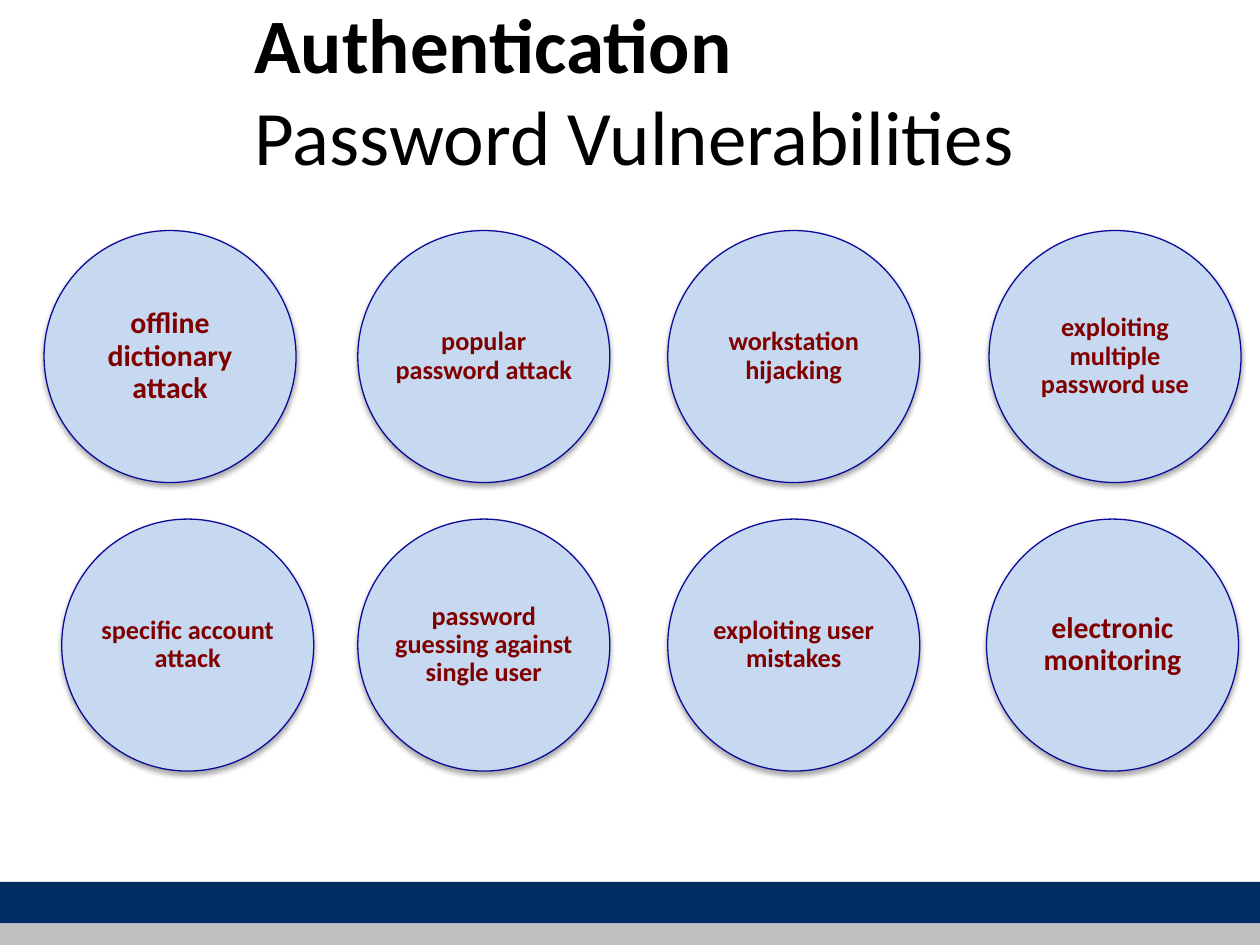
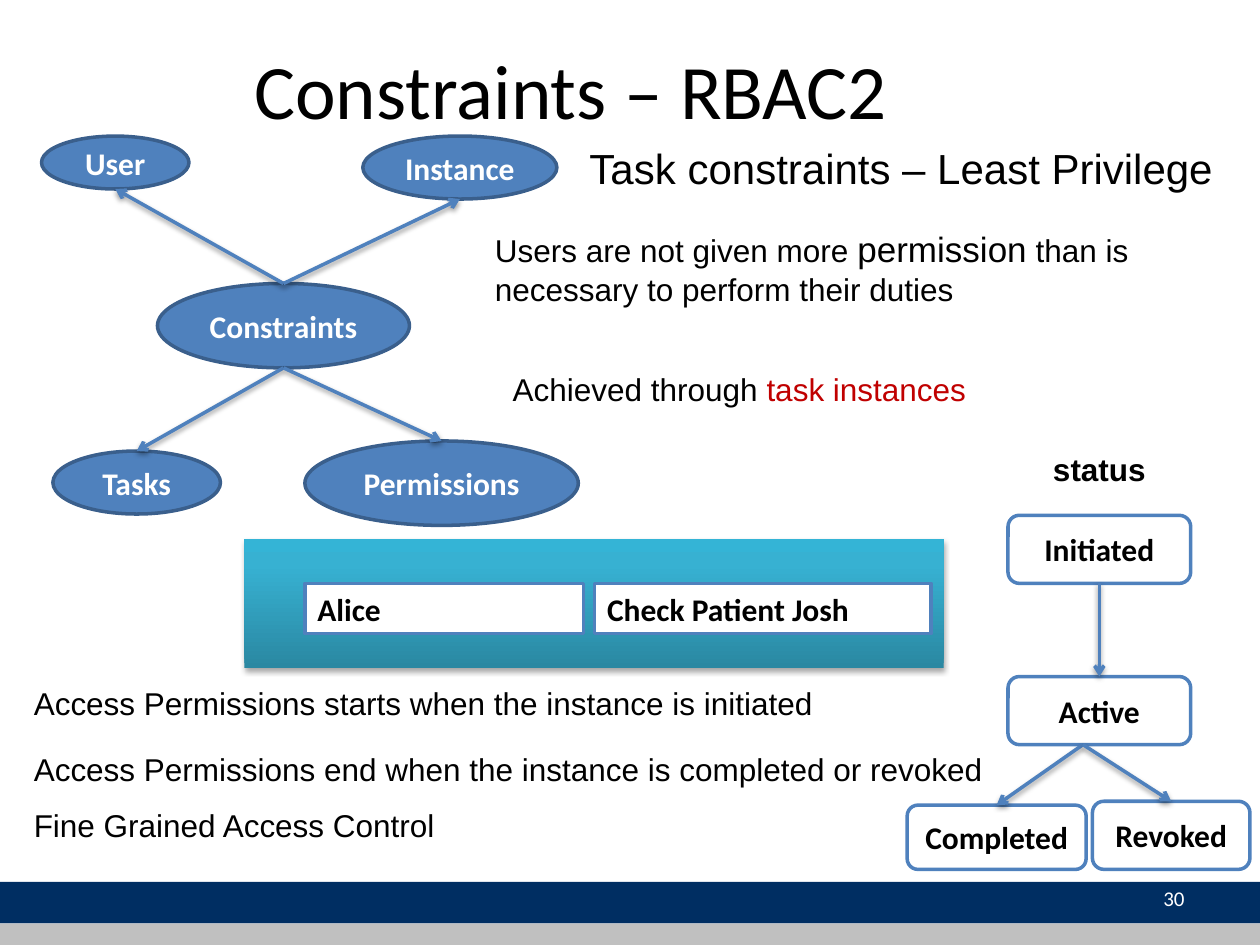
from copy import deepcopy

from lxml import etree
from pptx import Presentation
from pptx.dml.color import RGBColor
from pptx.enum.shapes import MSO_CONNECTOR, MSO_SHAPE
from pptx.enum.text import MSO_ANCHOR, PP_ALIGN
from pptx.oxml.ns import qn
from pptx.util import Inches, Pt

OVAL, RECT, ROUND = MSO_SHAPE.OVAL, MSO_SHAPE.RECTANGLE, MSO_SHAPE.ROUNDED_RECTANGLE
STRAIGHT = MSO_CONNECTOR.STRAIGHT
LEFT, CENTER, RIGHT = PP_ALIGN.LEFT, PP_ALIGN.CENTER, PP_ALIGN.RIGHT
TOP, MIDDLE = MSO_ANCHOR.TOP, MSO_ANCHOR.MIDDLE

WHITE = RGBColor(0xFF, 0xFF, 0xFF)
BLACK = RGBColor(0x00, 0x00, 0x00)
NAVY = RGBColor(0x00, 0x2E, 0x62)
GRAY = RGBColor(0xC0, 0xC0, 0xC0)
PALE = RGBColor(0xC6, 0xD9, 0xF1)
INK = RGBColor(0x0E, 0x0A, 0x99)
MAROON = RGBColor(0x80, 0x00, 0x00)
RED = RGBColor(0xC0, 0x00, 0x00)
BLUE = RGBColor(0x4F, 0x81, 0xBD)
EDGE = RGBColor(0x3A, 0x5F, 0x8C)
TEAL = [
    (0, RGBColor(0x2A, 0x88, 0xA2)),
    (0.8, RGBColor(0x37, 0xB1, 0xD2)),
    (1, RGBColor(0x34, 0xB4, 0xD6)),
]

WIDTH, HEIGHT = Inches(10), Inches(7.5)
COL, ROW = WIDTH / 10, HEIGHT / 7.5
HEAD, BODY = "Calibri", "Arial"

ATTACKS = [
    (1.83, [
        (0.35, "offline dictionary attack", 17),
        (2.84, "popular password attack", 15),
        (5.3, "workstation hijacking", 15),
        (7.85, "exploiting multiple password use", 15),
    ]),
    (4.12, [
        (0.49, "specific account attack", 15),
        (2.84, "password guessing against single user", 15),
        (5.3, "exploiting user mistakes", 15),
        (7.83, "electronic monitoring", 17),
    ]),
]
NODES = {
    "Constraints": (1.25, 2.25, 2, 0.67),
    "User": (0.33, 1.08, 1.17, 0.42),
    "Instance": (2.88, 1.08, 1.54, 0.5),
    "Tasks": (0.42, 3.58, 1.33, 0.5),
    "Permissions": (2.42, 3.5, 2.17, 0.67),
}
STATES = {
    "Initiated": (8, 4.09, 1.45, 0.54),
    "Active": (8, 5.37, 1.45, 0.54),
    "Completed": (7.2, 6.39, 1.42, 0.51),
    "Revoked": (8.67, 6.36, 1.25, 0.54),
}
FIELDS = {
    "Alice": (2.42, 4.63, 2.21, 0.4),
    "Check Patient Josh": (4.72, 4.63, 2.67, 0.4),
}
NOTES = [
    (5.38, "Access Permissions starts when the instance is initiated"),
    (5.9, "Access Permissions end when the instance is completed or revoked"),
    (6.35, "Fine Grained Access Control"),
]


def place(box):
    """Turn columns and rows of the slide grid into lengths."""
    x, y, w, h = box
    return round(x * COL), round(y * ROW), round(w * COL), round(h * ROW)


def write(shape, text, size=18, font=HEAD, color=BLACK, bold=False,
          align=LEFT, anchor=TOP, inset=None, lead=None, after=None):
    """Fill a shape with a string, or with lines of (string, changes) runs."""
    frame = shape.text_frame
    frame.word_wrap = True
    frame.vertical_anchor = anchor
    if inset is not None:
        frame.margin_left = frame.margin_right = Inches(inset)
        frame.margin_top = frame.margin_bottom = Inches(inset)
    para = frame.paragraphs[0]
    para.alignment = align
    if lead:
        para.line_spacing = lead
    if after:
        para.space_after = Pt(after)
    lines = [[(text, {})]] if isinstance(text, str) else text
    for index, line in enumerate(lines):
        if index:
            para.add_line_break()
        for words, change in line:
            run = para.add_run()
            run.text = words
            run.font.name = font
            run.font.size = Pt(change.get("size", size))
            run.font.bold = change.get("bold", bold)
            run.font.color.rgb = change.get("color", color)


def label(slide, box, text, **style):
    """Add a text box on the grid."""
    write(slide.shapes.add_textbox(*place(box)), text, **style)


def shade(item, alpha, dist):
    """Cast a soft shadow straight down."""
    props = item.element.spPr
    effects = props.find(qn("a:effectLst"))
    if effects is None:
        effects = etree.SubElement(props, qn("a:effectLst"))
    cast = etree.SubElement(effects, qn("a:outerShdw"), blurRad=str(Pt(3.1)),
                            dist=str(Pt(dist)), dir="5400000", rotWithShape="0")
    tint = etree.SubElement(cast, qn("a:srgbClr"), val=str(BLACK))
    etree.SubElement(tint, qn("a:alpha"), val=str(alpha * 1000))


def draw(slide, kind, box, fill=None, line=None, width=2):
    """Add a flat preset shape on the grid."""
    shape = slide.shapes.add_shape(kind, *place(box))
    shape.shadow.inherit = False
    if fill is not None:
        shape.fill.solid()
        shape.fill.fore_color.rgb = fill
    if line is None:
        shape.line.fill.background()
    else:
        shape.line.color.rgb = line
        shape.line.width = Pt(width)
    return shape


def blend(shape, stops):
    """Fill a shape with three colours running upward."""
    shape.fill.gradient()
    shape.fill.gradient_angle = 90
    marks = shape.element.spPr.find(qn("a:gradFill")).find(qn("a:gsLst"))
    marks.insert(1, deepcopy(marks[1]))
    for mark, (share, color) in zip(shape.fill.gradient_stops, stops):
        mark.position = share
        mark.color.rgb = color


def link(slide, start, end, shift=0):
    """Draw an arrow between the facing edges of two shapes."""
    down = end.top > start.top
    y1 = start.top + start.height if down else start.top
    y2 = end.top if down else end.top + end.height
    x1 = start.left + start.width // 2 + round(shift * COL)
    x2 = end.left + end.width // 2
    arrow = slide.shapes.add_connector(STRAIGHT, x1, y1, x2, y2)
    arrow.line.color.rgb = BLUE
    arrow.line.width = Pt(2)
    etree.SubElement(arrow.element.spPr.find(qn("a:ln")), qn("a:tailEnd"), type="arrow")
    shade(arrow, 38, 1.6)


def start(deck, title):
    """Add a slide with its bands and title."""
    slide = deck.slides.add_slide(deck.slide_layouts[6])
    draw(slide, RECT, (0, 7, 10, 0.33), NAVY)
    draw(slide, RECT, (0, 7.33, 10, 0.17), GRAY)
    label(slide, (1.92, 0.08, 7.92, 1.25), title, size=44, anchor=MIDDLE)
    return slide


def risks(deck):
    """Build the slide of password attacks."""
    slide = start(deck, [
        [("Authentication", {"bold": True})],
        [("Password Vulnerabilities", {})],
    ])
    for y, row in ATTACKS:
        for x, text, size in row:
            disc = draw(slide, OVAL, (x, y, 2, 2), PALE, INK, 0.75)
            shade(disc, 35, 1.8)
            write(disc, text, size=size, color=MAROON, bold=True, align=CENTER,
                  anchor=MIDDLE, inset=0, lead=0.9)


def group(slide, kind, boxes, fill, line, **style):
    """Add shapes that share one look and return them by name."""
    found = {}
    for name, box in boxes.items():
        found[name] = draw(slide, kind, box, fill, line)
        write(found[name], name, bold=True, **style)
    return found


def limits(deck):
    """Build the slide of task constraints."""
    slide = start(deck, "Constraints – RBAC2")
    label(slide, (7.17, 6.93, 2.33, 0.4), "30", size=12, color=WHITE,
          align=RIGHT, anchor=MIDDLE)
    label(slide, (3.83, 1.76, 6.17, 0.74), [[
        ("Users are not given more ", {}),
        ("permission", {"size": 20}),
        (" than is necessary to perform their duties", {}),
    ]], font=BODY)

    nodes = group(slide, OVAL, NODES, BLUE, EDGE, color=WHITE,
                  align=CENTER, anchor=MIDDLE)
    hub = nodes.pop("Constraints")
    for node in nodes.values():
        link(slide, hub, node)

    label(slide, (4.58, 1.08, 5.25, 0.5), "Task constraints – Least Privilege",
          size=24, font=BODY)
    label(slide, (3.97, 2.89, 6.17, 0.4), [[
        ("Achieved through ", {}),
        ("task instances", {"color": RED}),
    ]], font=BODY)

    panel = draw(slide, RECT, (1.94, 4.28, 5.55, 1.02))
    blend(panel, TEAL)
    shade(panel, 35, 1.8)
    group(slide, RECT, FIELDS, WHITE, BLUE)
    for y, text in NOTES:
        label(slide, (0.17, y, 7.74, 0.4), text, font=BODY)

    states = group(slide, ROUND, STATES, WHITE, BLUE, align=CENTER, anchor=MIDDLE)
    active = states["Active"]
    link(slide, states["Initiated"], active)
    for name in ("Completed", "Revoked"):
        link(slide, active, states[name], shift=-0.13)
    label(slide, (8.08, 3.52, 1.29, 0.4), "status", font=BODY, bold=True, align=CENTER)


def main():
    """Build and save the deck."""
    deck = Presentation()
    deck.slide_width, deck.slide_height = WIDTH, HEIGHT
    risks(deck)
    limits(deck)
    deck.save("out.pptx")


if __name__ == "__main__":
    main()
